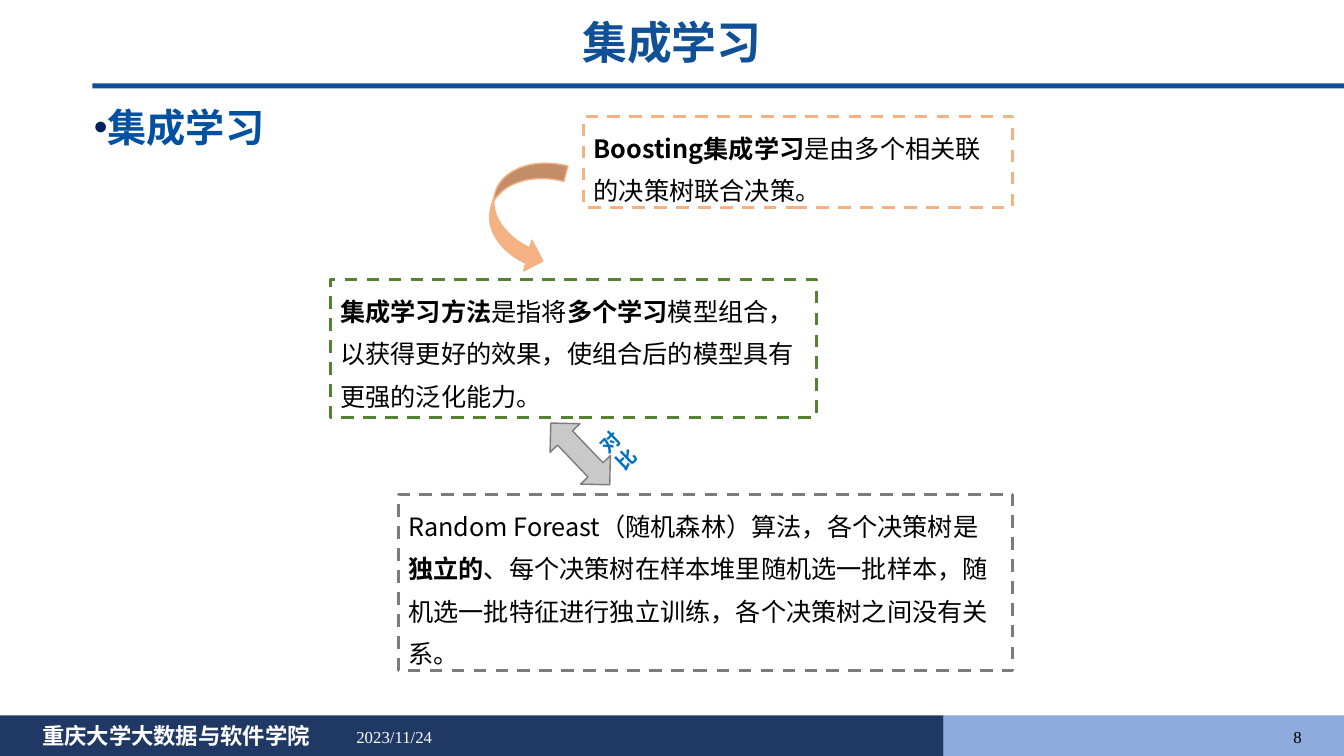
from lxml import etree
from pptx import Presentation
from pptx import util as u
from pptx.dml.color import RGBColor
from pptx.enum import dml, shapes, text
from pptx.oxml.ns import qn

BLUE = RGBColor(0x0F, 0x50, 0x97)
HEADING = RGBColor(0x01, 0x50, 0xA2)
BULLET = "002060"
NAVY = RGBColor(0x20, 0x38, 0x64)
SKY = RGBColor(0x8F, 0xAA, 0xDC)
ORANGE = RGBColor(0xF4, 0xB1, 0x83)
GREEN = RGBColor(0x54, 0x82, 0x35)
GRAY = RGBColor(0x7C, 0x7C, 0x7C)
SILVER = RGBColor(0xC9, 0xC9, 0xC9)
LABEL = RGBColor(0x00, 0x70, 0xC0)
WHITE = RGBColor(0xFF, 0xFF, 0xFF)
BLACK = RGBColor(0, 0, 0)
SERIF, SANS = "Times New Roman", "Noto Sans CJK SC"

# Content: text is a list of (words, bold) runs, boxes are left, top, width, height
TITLE = [("集成学习", True)]
SCHOOL = [("重庆大学大数据与软件学院", True)]
DATE = [("2023/11/24", False)]
PAGE = [("8", False)]
CONTRAST = [("对比", True)]
CARDS = [
    ((417, 83, 306.5, 65), ORANGE,
     [("Boosting集成学习", True), ("是由多个相关联的决策树联合决策。", False)]),
    ((284.5, 353, 439, 126), GRAY,
     [("Random Foreast（随机森林）算法，各个决策树是", False), ("独立的", True),
      ("、每个决策树在样本堆里随机选一批样本，随机选一批特征进行独立训练，"
       "各个决策树之间没有关系。", False)]),
    ((236, 199.5, 347, 98.5), GREEN,
     [("集成学习方法", True), ("是指将", False), ("多个学习", True),
      ("模型组合，以获得更好的效果，使组合后的模型具有更强的泛化能力。", False)]),
]
ARROWS = [
    (shapes.MSO_SHAPE.CURVED_RIGHT_ARROW, (350.5, 111.5, 45.5, 81.5), 14.8, ORANGE, ORANGE),
    (shapes.MSO_SHAPE.LEFT_RIGHT_ARROW, (384, 309.5, 61, 29.5), 46.3, SILVER, GRAY),
]
SLIDE_W, SLIDE_H = 960, 540
FOOT_H, FOOT_SPLIT = 29, 674
FOOT_Y = SLIDE_H - FOOT_H

prs = Presentation()
prs.slide_width, prs.slide_height = u.Pt(SLIDE_W), u.Pt(SLIDE_H)
s = prs.slides.add_slide(prs.slide_layouts[5])


def write(sp, runs, size=18, color=BLACK, font=SANS, align=text.PP_ALIGN.LEFT,
          anchor=text.MSO_ANCHOR.TOP, spacing=None):
    tf = sp.text_frame
    tf.word_wrap = True
    tf.auto_size = text.MSO_AUTO_SIZE.NONE
    tf.vertical_anchor = anchor
    p = tf.paragraphs[0]
    p.alignment, p.line_spacing = align, spacing
    for words, bold in runs:
        r = p.add_run()
        r.text = words
        r.font.size, r.font.bold, r.font.name = u.Pt(size), bold, font
        r.font.color.rgb = color
        etree.SubElement(r.font._element, qn("a:ea")).set("typeface", SANS)
    return p


def add_text(box, runs, **fmt):
    sp = s.shapes.add_textbox(*map(u.Pt, box))
    return sp, write(sp, runs, **fmt)


def add_shape(kind, box, fill=None, line=None, weight=1):
    sp = s.shapes.add_shape(kind, *map(u.Pt, box))
    sp.shadow.inherit = False
    if fill is None:
        sp.fill.background()
    else:
        sp.fill.solid()
        sp.fill.fore_color.rgb = fill
    if line is None:
        sp.line.fill.background()
    else:
        sp.line.color.rgb = line
        sp.line.width = u.Pt(weight)
    return sp


# Title and rule
title = s.shapes.title
title.left, title.top, title.width, title.height = map(u.Pt, (0, 7, SLIDE_W, 46))
write(title, TITLE, size=32, color=BLUE, font=SERIF,
      align=text.PP_ALIGN.CENTER, anchor=text.MSO_ANCHOR.MIDDLE)
RECT = shapes.MSO_SHAPE.RECTANGLE
add_shape(RECT, (66, 59.5, SLIDE_W - 66, 3.6), BLUE)

# Footer
add_shape(RECT, (0, FOOT_Y, FOOT_SPLIT, FOOT_H), NAVY)
add_shape(RECT, (FOOT_SPLIT, FOOT_Y, SLIDE_W - FOOT_SPLIT, FOOT_H), SKY)
add_text((23, 512.5, 230, 26.5), SCHOOL, size=16, color=WHITE, font=SERIF)
add_text((247.5, FOOT_Y + 1, 216, FOOT_H), DATE, size=12, color=WHITE, font=SERIF,
         anchor=text.MSO_ANCHOR.MIDDLE)
add_text((721, FOOT_Y + 1, 216, FOOT_H), PAGE, size=12, font=SERIF,
         align=text.PP_ALIGN.RIGHT, anchor=text.MSO_ANCHOR.MIDDLE)

# Dashed cards
for box, color, runs in CARDS:
    card = add_shape(RECT, box, line=color, weight=2.25)
    card.line.dash_style = dml.MSO_LINE.DASH
    write(card, runs, spacing=1.4)

# Arrows and the slanted label
for kind, box, angle, fill, line in ARROWS:
    add_shape(kind, box, fill, line).rotation = angle
label, _ = add_text((425.5, 296.5, 42, 41), CONTRAST, size=14, color=LABEL)
label.rotation = 315.9

# Bulleted heading
_, p = add_text((60, 63.5, 480, 44.5), TITLE, size=28, color=HEADING, font=SERIF,
                align=text.PP_ALIGN.JUSTIFY, spacing=1.2)
pPr = p._p.get_or_add_pPr()
pPr.set("marL", "0")
pPr.set("indent", str(u.Pt(-20)))
bullet_color = etree.SubElement(pPr, qn("a:buClr"))
etree.SubElement(bullet_color, qn("a:srgbClr")).set("val", BULLET)
etree.SubElement(pPr, qn("a:buFont")).set("typeface", "Arial")
etree.SubElement(pPr, qn("a:buChar")).set("char", "•")

prs.save("out.pptx")
